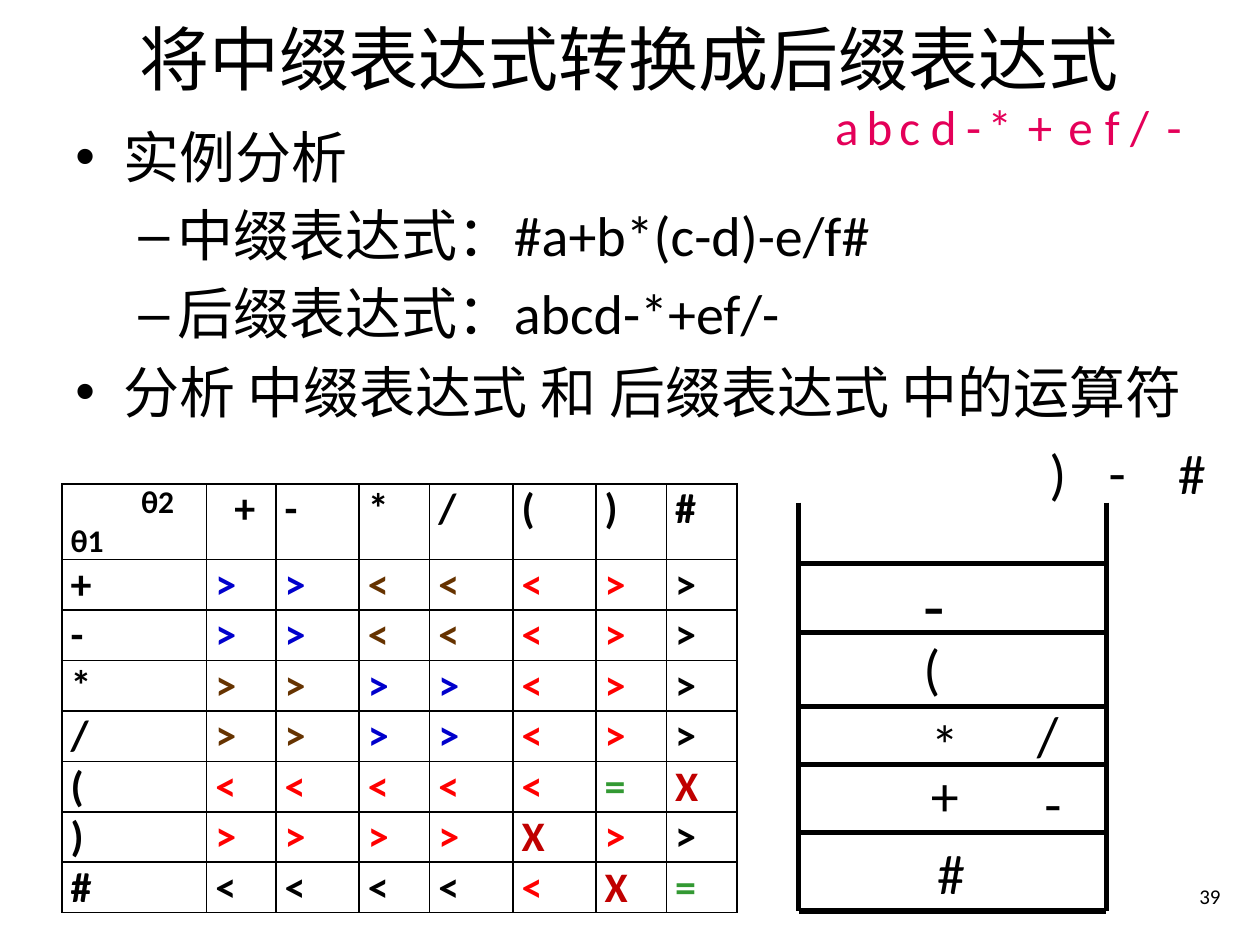
"""Build a slide on converting infix expressions to postfix with an operator stack."""
from lxml import etree
from pptx import Presentation
from pptx.dml.color import RGBColor
from pptx.enum.shapes import MSO_CONNECTOR
from pptx.enum.text import MSO_ANCHOR, PP_ALIGN
from pptx.oxml import parse_xml
from pptx.oxml.ns import qn
from pptx.util import Inches, Pt

STRAIGHT = MSO_CONNECTOR.STRAIGHT
CENTER = PP_ALIGN.CENTER
MIDDLE = MSO_ANCHOR.MIDDLE
FONT = "Calibri"
UNIT = Inches(0.1)
BLACK = "000000"
PINK = "E40059"
NAMESPACE = "http://schemas.openxmlformats.org/drawingml/2006/main"


def colour(value):
    return RGBColor.from_string(value)


def add_text(left, top, width, height, text, size, color=BLACK):
    box = slide.shapes.add_textbox(
        *(round(length * UNIT) for length in (left, top, width, height)))
    frame = box.text_frame
    frame.word_wrap = True
    frame.text = text
    for paragraph in frame.paragraphs:
        font = paragraph.runs[0].font
        font.name, font.size = FONT, Pt(size)
        font.color.rgb = colour(color)
    return frame


presentation = Presentation()
presentation.slide_width = 100 * UNIT
presentation.slide_height = 75 * UNIT
slide = presentation.slides.add_slide(presentation.slide_layouts[6])

title = add_text(4.9, 0, 90, 9.2, "将中缀表达式转换成后缀表达式", 40)
title.vertical_anchor = MIDDLE
title.paragraphs[0].alignment = CENTER

outline = [
    (0, "实例分析"),
    (1, "中缀表达式：#a+b*(c-d)-e/f#"),
    (1, "后缀表达式：abcd-*+ef/-"),
    (0, "分析 中缀表达式 和 后缀表达式 中的运算符"),
]
bullets = [(3.8, 3.8, "•"), (8.1, 3.1, "–")]
body = add_text(5, 9.2, 90, 65.8, "\n".join(text for _, text in outline), 32)
for paragraph, (level, _) in zip(body.paragraphs, outline):
    margin, hanging, bullet = bullets[level]
    paragraph.level = level
    paragraph.space_before = Pt(6.4)
    properties = paragraph._p.get_or_add_pPr()
    properties.set("marL", str(round(margin * UNIT)))
    properties.set("indent", str(round(-hanging * UNIT)))
    etree.SubElement(properties, qn("a:buFont")).set("typeface", "Arial")
    etree.SubElement(properties, qn("a:buChar")).set("char", bullet)

add_text(94.2, 69.6, 4.3, 3.6, "39", 12)

operators = "+-*/()#"
relations = [">><<<>>", ">><<<>>", ">>>><>>", ">>>><>>", "<<<<<=X", ">>>>X>>", "<<<<<X="]
relation_colours = ["BBNNRRK", "BBNNRRK", "NNBBRRK", "NNBBRRK", "RRRRRGX", "RRRRXRK", "KKKKRXG"]
palette = {"B": "0000CC", "N": "663300", "R": "FF0000", "K": BLACK, "G": "339933", "X": "C00000"}
column_widths = [11.5, 5.5, 6.6, 5.6, 6.6, 6.6, 5.6, 5.6]
row_heights = [6] + [4] * 7

grid = [["θ2\nθ1", *operators]]
grid += [[operator, *row] for operator, row in zip(operators, relations)]
grid_colours = ["K" * 8] + ["K" + row for row in relation_colours]
graphic = slide.shapes.add_table(
    8, 8, round(4.9 * UNIT), round(38.4 * UNIT), round(53.5 * UNIT), 34 * UNIT)
table = graphic.table
table.first_row = table.horz_banding = False
for column, width in zip(table.columns, column_widths):
    column.width = round(width * UNIT)
for row, height in zip(table.rows, row_heights):
    row.height = height * UNIT

for row_index, row_texts in enumerate(grid):
    for column_index, text in enumerate(row_texts):
        cell = table.cell(row_index, column_index)
        cell.margin_left = cell.margin_right = Inches(0.07)
        cell.margin_top = cell.margin_bottom = 0
        cell.fill.background()
        cell.text_frame.text = text
        for paragraph in cell.text_frame.paragraphs:
            font = paragraph.runs[0].font
            font.name, font.bold = FONT, True
            font.size = Pt(18 if row_index == column_index == 0 else 24)
            font.color.rgb = colour(palette[grid_colours[row_index][column_index]])
        for position, side in enumerate("LRTB"):
            border = parse_xml(
                f'<a:ln{side} xmlns:a="{NAMESPACE}" w="{Pt(1)}"><a:solidFill>'
                f'<a:srgbClr val="{BLACK}"/></a:solidFill></a:ln{side}>')
            cell._tc.get_or_add_tcPr().insert(position, border)

for column_index, indent in [(0, 5.6), (1, 1.5)]:
    paragraph = table.cell(0, column_index).text_frame.paragraphs[0]
    paragraph._p.get_or_add_pPr().set("marL", str(round(indent * UNIT)))

stack_left, stack_right, stack_top, stack_bottom = 63.4, 87.8, 39.9, 72.3
stack_lines = [(x, stack_top, x, stack_bottom) for x in (stack_left, stack_right)]
stack_lines += [(stack_left, y, stack_right, y)
                for y in (stack_bottom, 66.1, 60.7, 56.1, 50.2, 44.7)]
for ends in stack_lines:
    connector = slide.shapes.add_connector(STRAIGHT, *(round(end * UNIT) for end in ends))
    connector.line.color.rgb = colour(BLACK)
    connector.line.width = Pt(3)
    etree.SubElement(connector._element.spPr, qn("a:effectLst"))

stack_symbols = [
    ("#", 73.4, 66.1, 4.3), ("+", 72.9, 59.9, 4.3), ("*", 72.9, 55.8, 4.3),
    ("(", 72.3, 49.8, 4.9), ("-", 81.9, 60.5, 6.6), (")", 82.3, 34.3, 5.3),
    ("/", 81.3, 55.1, 10.2), ("-", 87, 34.2, 4.3), ("#", 92.5, 34.3, 4.3),
]
for symbol, left, top, width in stack_symbols:
    add_text(left, top, width, 6.4, symbol, 32)
add_text(72.3, 44.1, 7.5, 7.7, "-", 40)

output_lefts = [65.3, 67.8, 70.4, 72.9, 75.7, 77.4, 80.6, 83.8, 86.7, 88.7, 91.6]
for symbol, left in zip("abcd-*+ef/-", output_lefts):
    add_text(left, 7.2, 14.5 if left < 86 else 5.8, 5.7, symbol, 28, PINK)

presentation.save("out.pptx")
